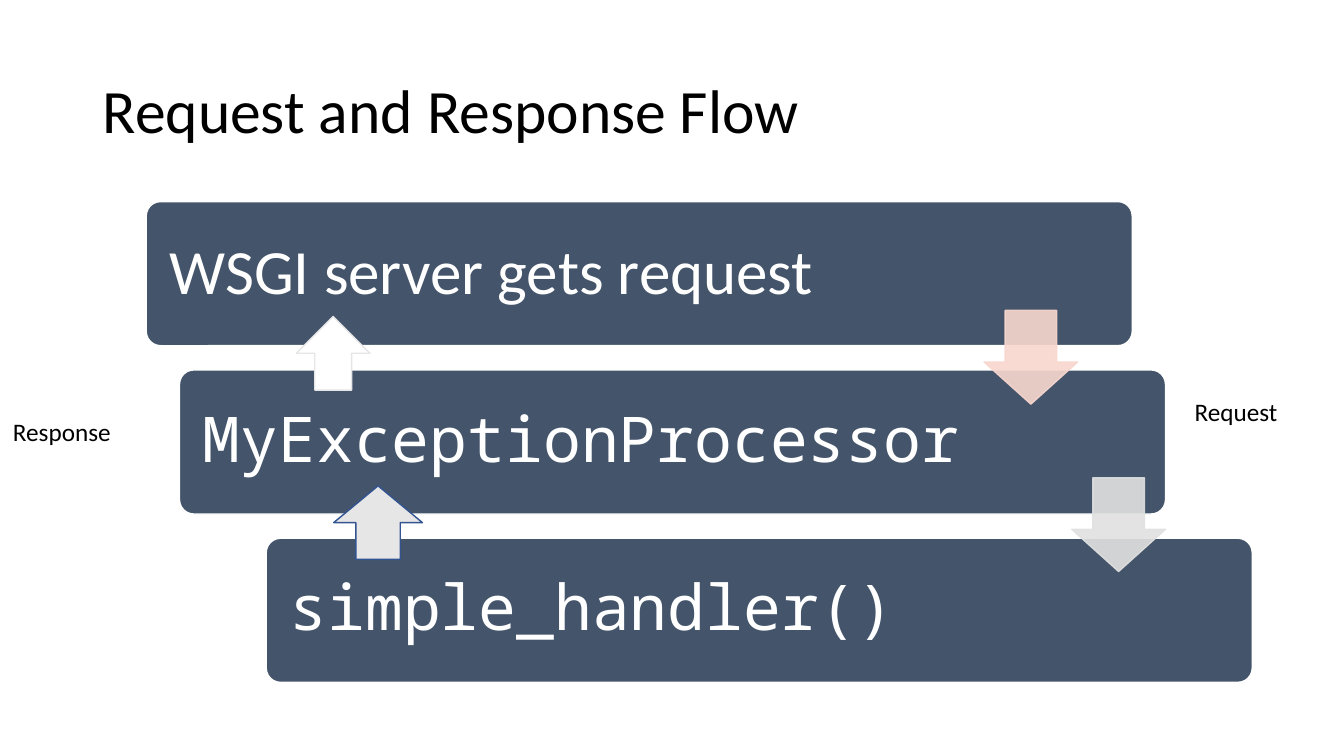
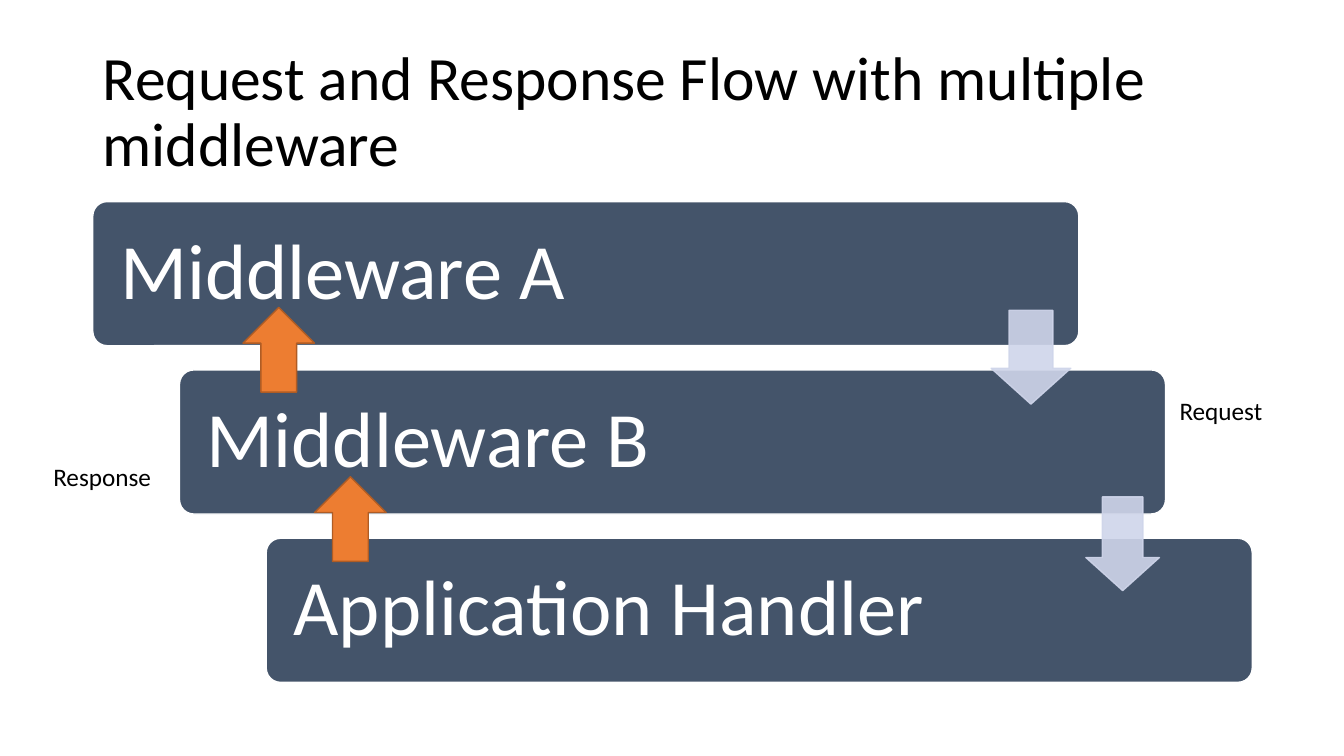
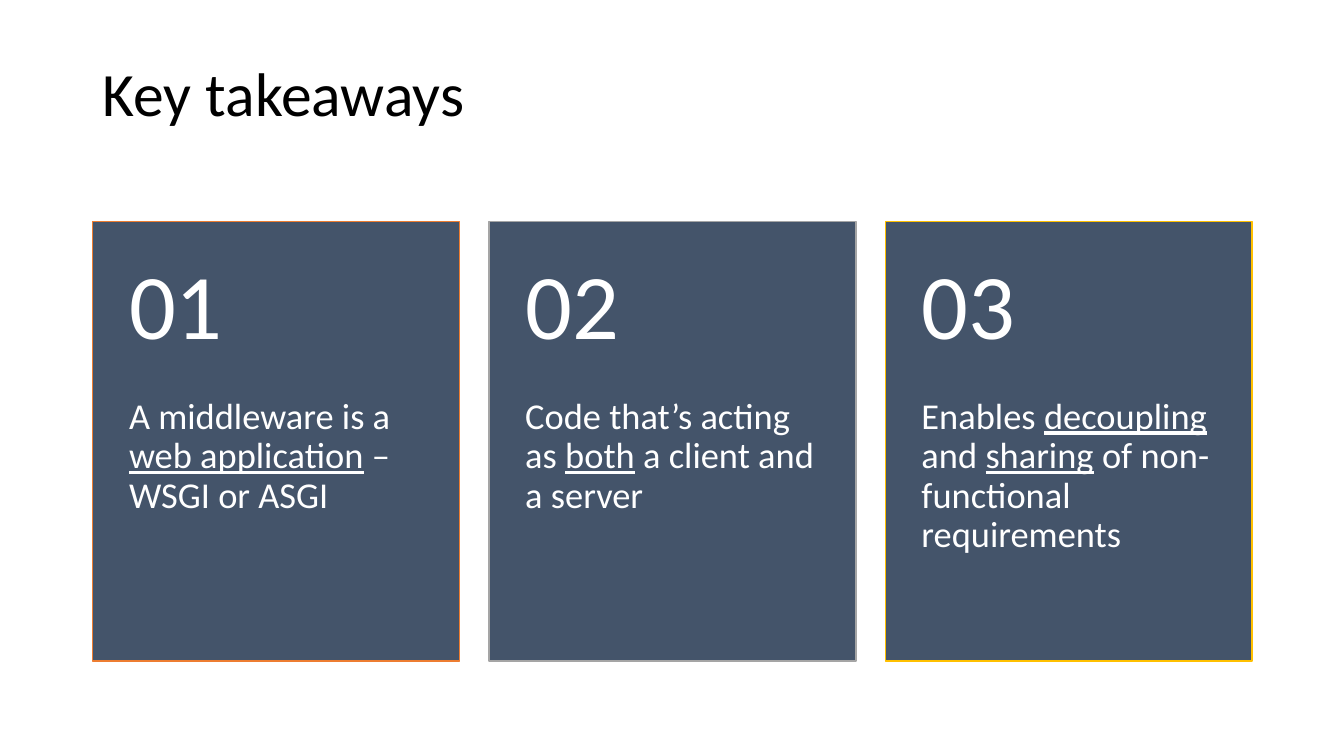
from lxml import etree
from pptx import Presentation
from pptx.dml.color import RGBColor
from pptx.enum import shapes, text
from pptx.oxml import ns
from pptx.util import Inches, Pt

BLACK = RGBColor(0x00, 0x00, 0x00)
WHITE = RGBColor(0xFF, 0xFF, 0xFF)
SLATE = RGBColor(0x44, 0x54, 0x6A)
PEACH = RGBColor(0xF8, 0xD7, 0xCE)
SILVER = RGBColor(0xE1, 0xE1, 0xE1)
PALE_GRAY = RGBColor(0xE7, 0xE6, 0xE6)
GRAY = RGBColor(0xA5, 0xA5, 0xA5)
BLUE = RGBColor(0x32, 0x54, 0x91)
LAVENDER = RGBColor(0xCF, 0xD5, 0xEA)
ORANGE = RGBColor(0xED, 0x7D, 0x31)
RUST = RGBColor(0xAF, 0x5C, 0x24)
GOLD = RGBColor(0xFF, 0xC0, 0x00)

SANS = "Calibri"
MONO = "Noto Sans Mono"
DEFAULT_INSETS = (0.1, 0.05, 0.1, 0.05)
TITLE_BOX = (0.92, 0.4, 11.5, 1.45)

STEP_TOP, STEP_PITCH = 2, 1.67
STEP_WIDTH, STEP_HEIGHT = 9.78, 1.43
CARD_LEFT, CARD_TOP, CARD_PITCH = 0.92, 2.2, 3.93
CARD_WIDTH, CARD_HEIGHT, NUMBER_HEIGHT = 3.64, 4.36, 1.75


def write(shape, runs, size, color, font=SANS, insets=DEFAULT_INSETS,
          anchor=text.MSO_ANCHOR.MIDDLE, spacing=0.9):
    frame = shape.text_frame
    frame.word_wrap = True
    frame.vertical_anchor = anchor
    (frame.margin_left, frame.margin_top,
     frame.margin_right, frame.margin_bottom) = map(Inches, insets)
    paragraph = frame.paragraphs[0]
    paragraph.alignment = text.PP_ALIGN.LEFT
    paragraph.line_spacing = spacing
    paragraph.font.name = font
    paragraph.font.size = Pt(size)
    paragraph.font.color.rgb = color
    for index, words in enumerate(runs):
        run = paragraph.add_run()
        run.text = words
        if index % 2:
            run.font.underline = True


def add_text(slide, box, words, size, color, **style):
    write(slide.shapes.add_textbox(*map(Inches, box)), [words], size, color, **style)


def add_block(slide, kind, box, fill, line):
    shape = slide.shapes.add_shape(kind, *map(Inches, box))
    shape.shadow.inherit = False
    shape.fill.solid()
    shape.fill.fore_color.rgb = fill
    shape.line.color.rgb = line
    shape.line.width = Pt(1)
    return shape


def add_title(slide, words, box=TITLE_BOX):
    add_text(slide, box, words, 44, BLACK)


def add_label(slide, left, top, width, words):
    add_text(slide, (left, top, width, 0.4), words, 18, BLACK,
             anchor=text.MSO_ANCHOR.TOP, spacing=1.0)


def add_steps(slide, steps, size, inset):
    for row, (left, words, font) in enumerate(steps):
        box = (left, STEP_TOP + row * STEP_PITCH, STEP_WIDTH, STEP_HEIGHT)
        bar = add_block(slide, shapes.MSO_SHAPE.ROUNDED_RECTANGLE, box, SLATE, WHITE)
        bar.adjustments[0] = 0.1
        write(bar, [words], size, WHITE, font, (inset,) * 4)


def add_request_arrow(slide, left, top, width, color):
    arrow = add_block(slide, shapes.MSO_SHAPE.DOWN_ARROW, (left, top, width, 0.93),
                      color, color)
    arrow.adjustments[0] = 0.55
    arrow.adjustments[1] = 0.45
    for element in arrow._element.spPr.iter(ns.qn("a:srgbClr")):
        etree.SubElement(element, ns.qn("a:alpha"), val="90000")


def add_response_arrow(slide, box, fill, line):
    add_block(slide, shapes.MSO_SHAPE.UP_ARROW, box, fill, line)


def add_card(slide, index, line, runs):
    left = CARD_LEFT + index * CARD_PITCH
    card = add_block(slide, shapes.MSO_SHAPE.RECTANGLE,
                     (left, CARD_TOP, CARD_WIDTH, CARD_HEIGHT), SLATE, line)
    write(card, runs, 26, WHITE, insets=(0.36, NUMBER_HEIGHT, 0.36, 0.36),
          anchor=text.MSO_ANCHOR.TOP)
    add_text(slide, (left, CARD_TOP, CARD_WIDTH, NUMBER_HEIGHT), f"{index + 1:02}",
             66, WHITE, insets=(0.36, 0.18, 0.36, 0.18))


def build_flow(slide):
    add_title(slide, "Request and Response Flow")
    add_steps(slide, [(1.45, "WSGI server gets request", SANS),
                      (1.78, "MyExceptionProcessor", MONO),
                      (2.64, "simple_handler()", MONO)], 45, 0.19)
    add_request_arrow(slide, 9.76, 3.08, 0.93, PEACH)
    add_request_arrow(slide, 10.63, 4.74, 0.93, SILVER)
    add_response_arrow(slide, (2.94, 3.14, 0.73, 0.73), WHITE, PALE_GRAY)
    add_response_arrow(slide, (3.31, 4.82, 0.88, 0.73), PALE_GRAY, BLUE)
    add_label(slide, 11.75, 3.88, 1.18, "Request")
    add_label(slide, 0.03, 4.08, 1.38, "Response")


def build_middleware_flow(slide):
    add_title(slide, "Request and Response Flow with multiple middleware")
    add_steps(slide, [(0.92, "Middleware A", SANS),
                      (1.78, "Middleware B", SANS),
                      (2.64, "Application Handler", SANS)], 56, 0.23)
    add_request_arrow(slide, 9.83, 3.08, 0.79, LAVENDER)
    add_request_arrow(slide, 10.77, 4.93, 0.73, LAVENDER)
    for left, top in ((3.12, 4.73), (2.41, 3.05)):
        add_response_arrow(slide, (left, top, 0.71, 0.84), ORANGE, RUST)
    add_label(slide, 11.6, 3.87, 1.18, "Request")
    add_label(slide, 0.43, 4.53, 1.38, "Response")


def build_takeaways(slide):
    add_title(slide, "Key takeaways", (0.92, 0.37, 11.49, 1.18))
    cards = [
        (ORANGE, ["A middleware is a ", "web application", " – WSGI or ASGI"]),
        (GRAY, ["Code that’s acting as ", "both", " a client and a server"]),
        (GOLD, ["Enables ", "decoupling", " and ", "sharing",
                " of non-functional requirements"]),
    ]
    for index, (line, runs) in enumerate(cards):
        add_card(slide, index, line, runs)


def main():
    presentation = Presentation()
    presentation.slide_width = Inches(13.33)
    presentation.slide_height = Inches(7.5)
    for build in (build_flow, build_middleware_flow, build_takeaways):
        build(presentation.slides.add_slide(presentation.slide_layouts[6]))
    presentation.save("out.pptx")


if __name__ == "__main__":
    main()
